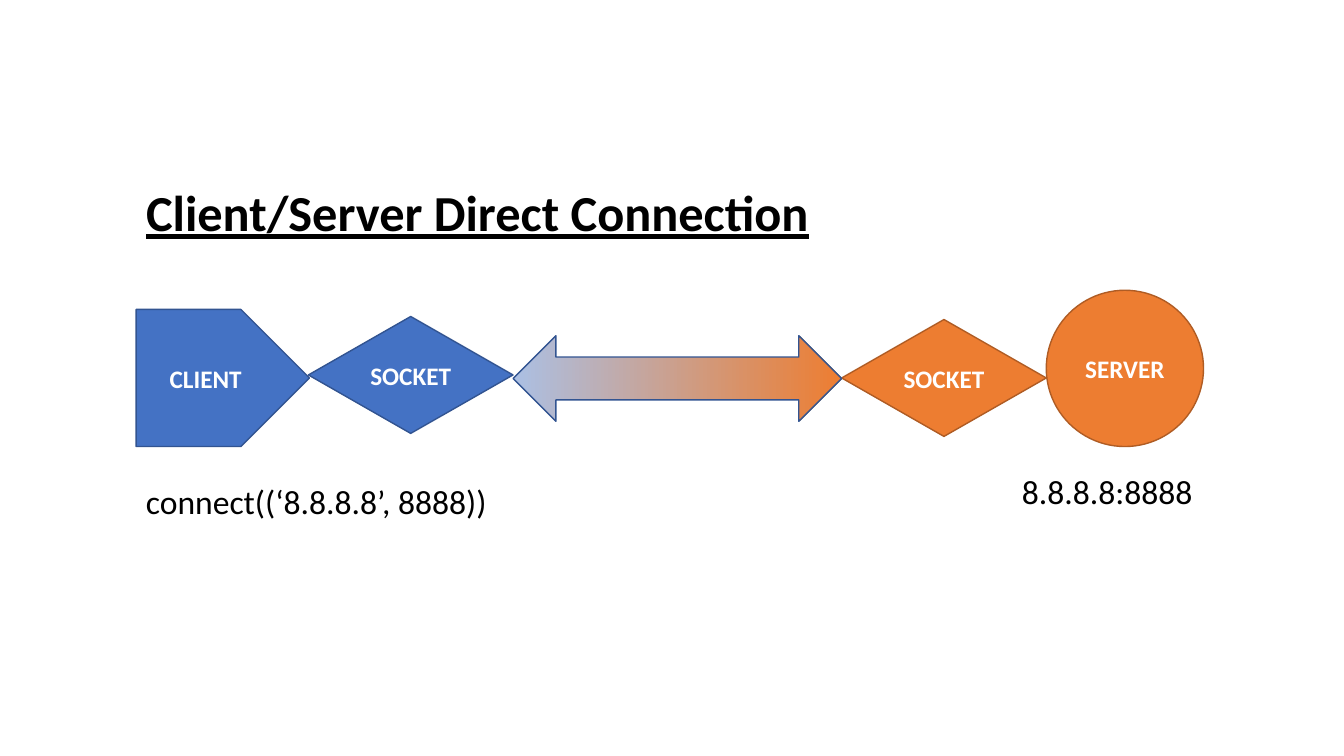
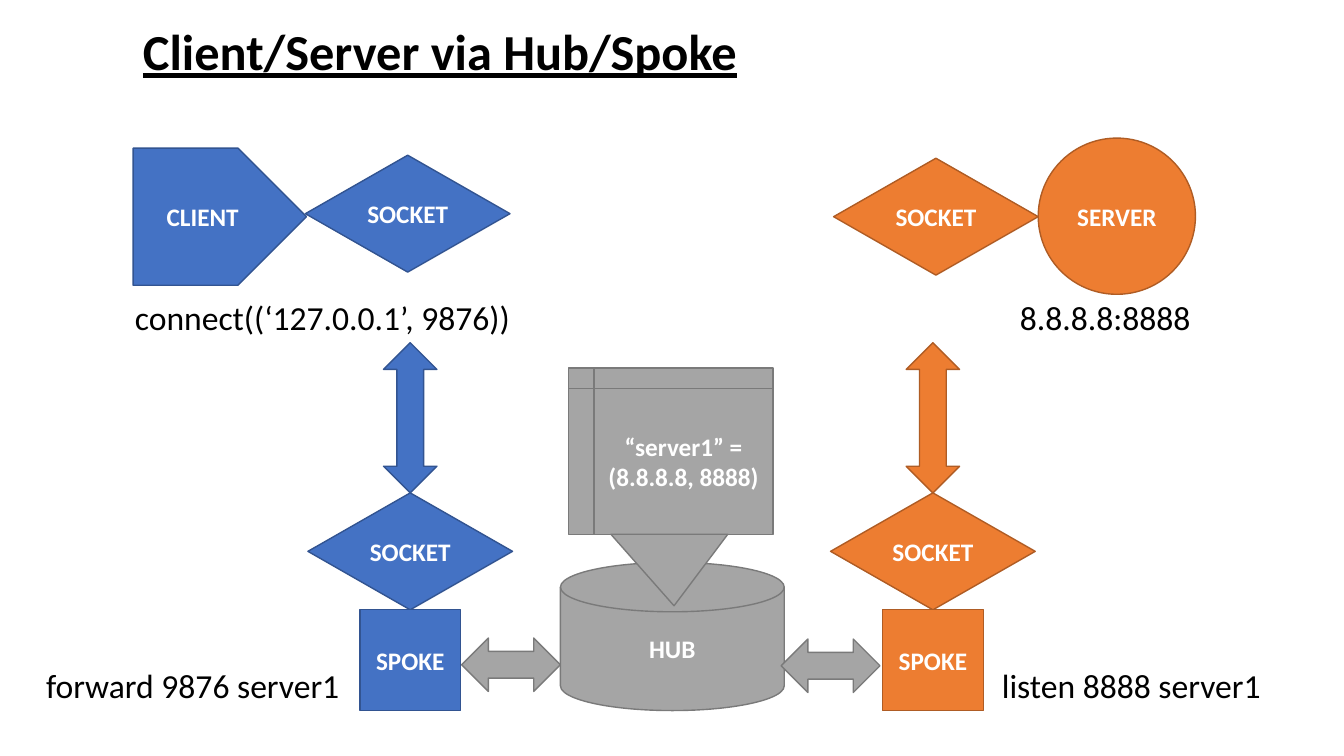
from typing import NamedTuple

from pptx import Presentation
from pptx.dml.color import RGBColor
from pptx.enum.shapes import MSO_SHAPE as Shp
from pptx.enum.text import MSO_ANCHOR, MSO_AUTO_SIZE, PP_ALIGN
from pptx.util import Emu, Inches, Pt

FONT = "Calibri"
WHITE, BLACK = "FFFFFF", "000000"
CELL = Inches(0.1)  # the grid is 133.33 columns by 75 rows
COLS, ROWS = 133.33, 75


class Tint(NamedTuple):
    fill: str
    line: str


class Kind(NamedTuple):
    preset: Shp
    w: float
    h: float


class Node(NamedTuple):
    kind: Kind
    col: float
    row: float
    tint: Tint
    text: str = ""


class Label(NamedTuple):
    text: str
    col: float
    row: float
    w: float


BLUE = Tint("4472C4", "325491")
ORANGE = Tint("ED7D31", "AF5C24")
GREY = Tint("A5A5A5", "7A7A7A")

CLIENT = Kind(Shp.PENTAGON, 17.2, 13.6)
SOCKET = Kind(Shp.FLOWCHART_DECISION, 20.3, 11.6)
SERVER = Kind(Shp.OVAL, 15.6, 15.5)
SPOKE = Kind(Shp.RECTANGLE, 10, 10)
HUB = Kind(Shp.FLOWCHART_MAGNETIC_DISK, 22.2, 14.7)
TABLE = Kind(Shp.FLOWCHART_INTERNAL_STORAGE, 20.3, 16.5)
POINTER = Kind(Shp.ISOSCELES_TRIANGLE, 11.6, 7.1)
LINK = Kind(Shp.LEFT_RIGHT_ARROW, 32.6, 8.5)
HUB_LINK = Kind(Shp.LEFT_RIGHT_ARROW, 9.8, 5.3)
SPOKE_LINK = Kind(Shp.UP_DOWN_ARROW, 5.3, 14.9)


def grid(n: float) -> Emu:
    return Emu(round(n * CELL))


def rgb(value: str) -> RGBColor:
    return RGBColor.from_string(value)


def add_run(p, text: str, size: int, color: str, bold=False, underline=False):
    r = p.add_run()
    r.text = text
    f = r.font
    f.name, f.size, f.bold, f.underline = FONT, Pt(size), bold, underline
    f.color.rgb = rgb(color)


def draw_node(s, node: Node):
    kind = node.kind
    sp = s.shapes.add_shape(kind.preset, *map(grid, (node.col, node.row, kind.w, kind.h)))
    sp.shadow.inherit = False
    sp.fill.solid()
    sp.fill.fore_color.rgb = rgb(node.tint.fill)
    sp.line.color.rgb = rgb(node.tint.line)
    sp.line.width = Pt(1)
    if node.text:
        tf = sp.text_frame
        tf.word_wrap = True
        tf.vertical_anchor = MSO_ANCHOR.MIDDLE
        p = tf.paragraphs[0]
        p.alignment = PP_ALIGN.CENTER
        add_run(p, node.text, 18, WHITE, bold=True)
    return sp


def draw_label(s, label: Label, title=False):
    height = 7.1 if title else 5
    box = s.shapes.add_textbox(*map(grid, (label.col, label.row, label.w, height)))
    tf = box.text_frame
    tf.word_wrap = False
    tf.auto_size = MSO_AUTO_SIZE.SHAPE_TO_FIT_TEXT
    add_run(tf.paragraphs[0], label.text, 36 if title else 24, BLACK, title, title)


def draw_client_side(s, col: float, row: float):
    draw_node(s, Node(CLIENT, col, row, BLUE, "CLIENT"))
    draw_node(s, Node(SOCKET, col + 17.1, row + 0.7, BLUE, "SOCKET"))


def draw_server_side(s, col: float, row: float, server_row: float):
    draw_node(s, Node(SOCKET, col, row, ORANGE, "SOCKET"))
    draw_node(s, Node(SERVER, col + SOCKET.w, server_row, ORANGE, "SERVER"))


def draw_spoke_stack(s, center: float, top: float, tint: Tint):
    """Stack an arrow, a socket and a spoke on one vertical axis."""
    row = top
    for kind, text in ((SPOKE_LINK, ""), (SOCKET, "SOCKET"), (SPOKE, "SPOKE")):
        draw_node(s, Node(kind, center - kind.w / 2, row, tint, text))
        row += kind.h


def build_direct(s):
    draw_client_side(s, 13.5, 30.7)
    draw_server_side(s, 83.5, 31.7, 28.8)
    link = draw_node(s, Node(LINK, 50.9, 33.3, BLUE))
    link.fill.gradient()
    link.fill.gradient_angle = 0
    for stop, color, position in zip(link.fill.gradient_stops, ("ABC0E4", ORANGE.fill), (0, 1)):
        stop.color.rgb = rgb(color)
        stop.position = position
    draw_label(s, Label("Client/Server Direct Connection", 13.5, 17.5, 68.5), title=True)
    draw_label(s, Label("8.8.8.8:8888", 100.4, 46.2, 19))
    draw_label(s, Label("connect((‘8.8.8.8’, 8888))", 13.5, 47.2, 36.3))


def build_hub(s):
    draw_label(s, Label("Client/Server via Hub/Spoke", 13.2, 1.5, 61.6), title=True)
    draw_client_side(s, 13.2, 14.7)
    draw_server_side(s, 82.7, 15.7, 13.7)
    draw_spoke_stack(s, 40.7, 34, BLUE)
    draw_spoke_stack(s, 92.55, 34, ORANGE)
    for node in (
        Node(HUB, 55.6, 55.8, GREY, "HUB"),
        Node(TABLE, 56.4, 36.5, GREY, "“server1” = (8.8.8.8, 8888)"),
        Node(HUB_LINK, 45.8, 63.3, GREY),
        Node(HUB_LINK, 77.5, 63.4, GREY),
    ):
        draw_node(s, node)
    pointer = draw_node(s, Node(POINTER, 60.6, 53, GREY))
    pointer.rotation = 180
    pointer.adjustments[0] = 0.46
    for label in (
        Label("connect((‘127.0.0.1’, 9876))", 12.4, 29, 39.5),
        Label("8.8.8.8:8888", 100.2, 29, 19),
        Label("forward 9876 server1", 3.6, 65.5, 31.4),
        Label("listen 8888 server1", 98.4, 65.5, 27.9),
    ):
        draw_label(s, label)


def main():
    prs = Presentation()
    prs.slide_width, prs.slide_height = grid(COLS), grid(ROWS)
    for build in (build_direct, build_hub):
        build(prs.slides.add_slide(prs.slide_layouts[6]))
    prs.save("out.pptx")


if __name__ == "__main__":
    main()
